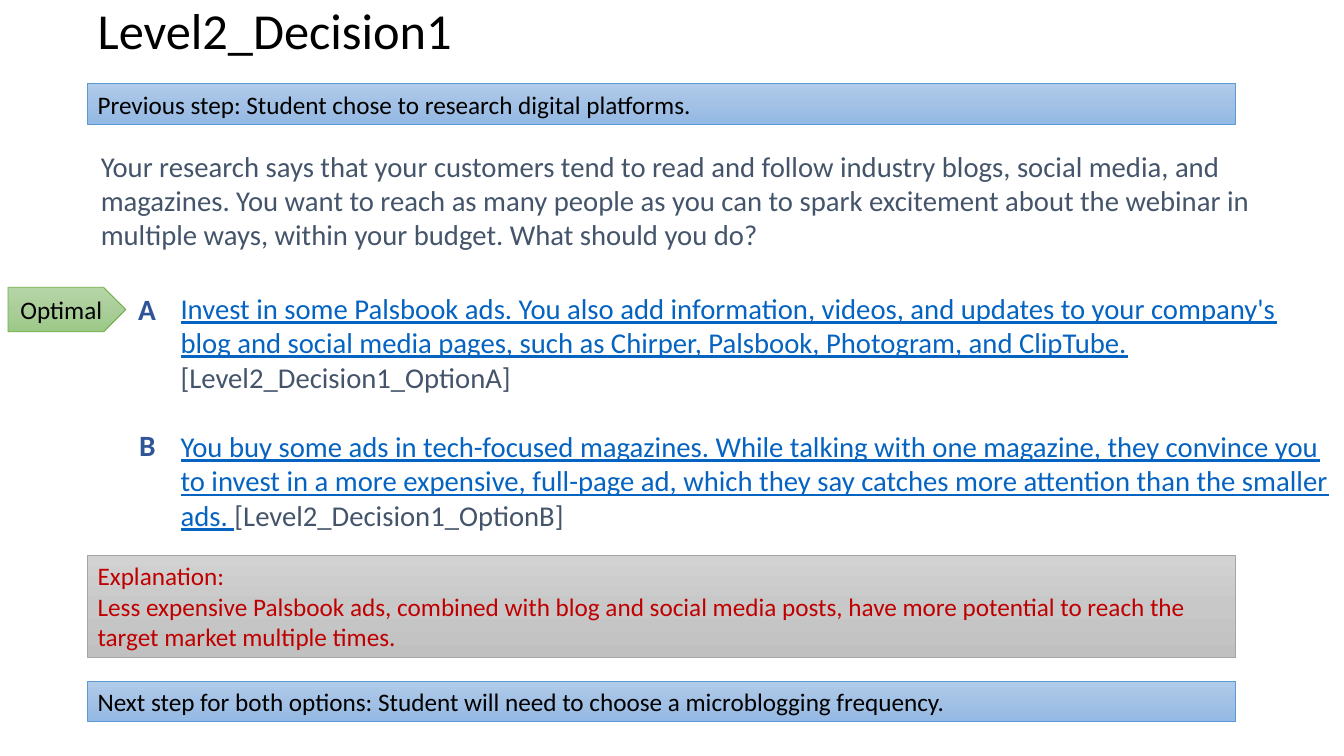
from copy import deepcopy
from dataclasses import dataclass

from lxml import etree
from pptx import Presentation
from pptx import util as u
from pptx.dml.color import RGBColor
from pptx.enum import shapes, text
from pptx.oxml.ns import qn

FONT = "Calibri"
BLACK, SLATE, LINK, NAVY, RED = "000000", "44546A", "0563C1", "2F5597", "C00000"
BLUE = ("B1CBE9", "A3C1E5", "93B9E4", "5B9BD5")
GRAY = ("D2D2D2", "C8C8C8", "C0C0C0", "A5A5A5")
GREEN = ("B5D5A7", "AACE9A", "9CC987", "70AD47")
LEFT, BAR_WIDTH = 2.21, 28.93
WIDE_INSETS = (0.33, 0.18)
NORMAL_INSETS = (0.25, 0.13)


@dataclass
class Box:
    left: float
    top: float
    width: float
    height: float


@dataclass
class Panel:
    box: Box
    lines: tuple[str, ...]
    palette: tuple[str, str, str, str]
    color: str = BLACK
    kind: int = shapes.MSO_SHAPE.RECTANGLE
    align: int = text.PP_ALIGN.LEFT
    anchor: int = text.MSO_ANCHOR.TOP


@dataclass
class Option:
    letter: str
    letter_box: Box
    link: str
    target: str


PANELS = (
    Panel(Box(LEFT, 2.11, BAR_WIDTH, 1.02),
          ("Previous step: Student chose to research digital platforms.",), BLUE),
    Panel(Box(LEFT, 14, BAR_WIDTH, 2.57),
          ("Explanation:",
           "Less expensive Palsbook ads, combined with blog and social media posts, "
           "have more potential to reach the target market multiple times."), GRAY, RED),
    Panel(Box(LEFT, 17.17, BAR_WIDTH, 1.02),
          ("Next step for both options: Student will need to choose a microblogging frequency.",),
          BLUE),
    Panel(Box(0.2, 7.24, 2.97, 1.12), ("Optimal",), GREEN, kind=shapes.MSO_SHAPE.PENTAGON,
          align=text.PP_ALIGN.CENTER, anchor=text.MSO_ANCHOR.MIDDLE),
)
OPTIONS = (
    Option("A", Box(3.15, 7.16, 1.73, 1.47),
           "Invest in some Palsbook ads. You also add information, videos, and updates to your "
           "company's blog and social media pages, such as Chirper, Palsbook, Photogram, and "
           "ClipTube. ", "[Level2_Decision1_OptionA]"),
    Option("B", Box(3.18, 10.59, 1.78, 1.12),
           "You buy some ads in tech-focused magazines. While talking with one magazine, they "
           "convince you to invest in a more expensive, full-page ad, which they say catches "
           "more attention than the smaller ads. ", "[Level2_Decision1_OptionB]"),
)
QUESTION = ("Your research says that your customers tend to read and follow industry blogs, "
            "social media, and magazines. You want to reach as many people as you can to spark "
            "excitement about the webinar in multiple ways, within your budget. "
            "What should you do?")


def rgb(color: str) -> RGBColor:
    return RGBColor.from_string(color)


def add_run(paragraph, words: str, *, size: float, color: str,
            bold: bool = False, underline: bool = False) -> None:
    run = paragraph.add_run()
    run.text = words
    font = run.font
    font.name, font.size, font.bold, font.underline = FONT, u.Pt(size), bold, underline
    font.color.rgb = rgb(color)


def place(shape, box: Box) -> None:
    shape.left, shape.top = u.Cm(box.left), u.Cm(box.top)
    shape.width, shape.height = u.Cm(box.width), u.Cm(box.height)


def prepare_frame(shape, insets=NORMAL_INSETS, anchor=text.MSO_ANCHOR.TOP):
    frame = shape.text_frame
    frame.word_wrap = True
    frame.auto_size = text.MSO_AUTO_SIZE.NONE
    frame.vertical_anchor = anchor
    frame.margin_left = frame.margin_right = u.Cm(insets[0])
    frame.margin_top = frame.margin_bottom = u.Cm(insets[1])
    return frame


def add_label(slide, box: Box, words: str, **style) -> None:
    shape = slide.shapes.add_textbox(0, 0, 0, 0)
    place(shape, box)
    add_run(prepare_frame(shape, WIDE_INSETS).paragraphs[0], words, **style)


def fill_gradient(shape, colors: tuple[str, ...]) -> None:
    shape.fill.gradient()
    shape.fill.gradient_angle = 270
    first = shape.element.spPr.find(".//" + qn("a:gs"))
    first.addnext(deepcopy(first))
    for index, (stop, color) in enumerate(zip(shape.fill.gradient_stops, colors)):
        stop.position = index / 2
        stop.color.rgb = rgb(color)


def add_panel(slide, panel: Panel) -> None:
    shape = slide.shapes.add_shape(panel.kind, 0, 0, 0, 0)
    place(shape, panel.box)
    shape.shadow.inherit = False
    fill_gradient(shape, panel.palette[:3])
    shape.line.color.rgb = rgb(panel.palette[3])
    shape.line.width = u.Pt(0.5)
    frame = prepare_frame(shape, anchor=panel.anchor)
    for index, line in enumerate(panel.lines):
        paragraph = frame.add_paragraph() if index else frame.paragraphs[0]
        paragraph.alignment = panel.align
        add_run(paragraph, line, size=18, color=panel.color)


def fill_title(title) -> None:
    place(title, Box(LEFT, 0, BAR_WIDTH, 1.68))
    paragraph = prepare_frame(title, anchor=text.MSO_ANCHOR.MIDDLE).paragraphs[0]
    paragraph.alignment = text.PP_ALIGN.LEFT
    paragraph.line_spacing = 0.9
    add_run(paragraph, "Level2_Decision1", size=36, color=BLACK)


def fill_options(body) -> None:
    place(body, Box(4.22, 7.14, 29.65, 6.83))
    frame = prepare_frame(body, WIDE_INSETS)
    for index, option in enumerate(OPTIONS):
        paragraph = frame.add_paragraph() if index else frame.paragraphs[0]
        properties = paragraph._p.get_or_add_pPr()
        properties.set("marL", "0")
        properties.set("indent", "0")
        etree.SubElement(properties, qn("a:buNone"))
        paragraph.space_before = u.Pt(25 if index else 0)
        add_run(paragraph, option.link, size=20.5, color=LINK, underline=True)
        add_run(paragraph, option.target, size=20.5, color=SLATE)


def main() -> None:
    presentation = Presentation()
    presentation.slide_width, presentation.slide_height = u.Cm(33.87), u.Cm(19.05)
    slide = presentation.slides.add_slide(presentation.slide_layouts[1])
    fill_title(slide.shapes.title)
    fill_options(slide.placeholders[1])
    add_label(slide, Box(LEFT, 3.56, 31.65, 3.33), QUESTION, size=20.5, color=SLATE)
    for panel in PANELS:
        add_panel(slide, panel)
    for option in OPTIONS:
        add_label(slide, option.letter_box, option.letter, size=21, color=NAVY, bold=True)
    presentation.save("out.pptx")


if __name__ == "__main__":
    main()
